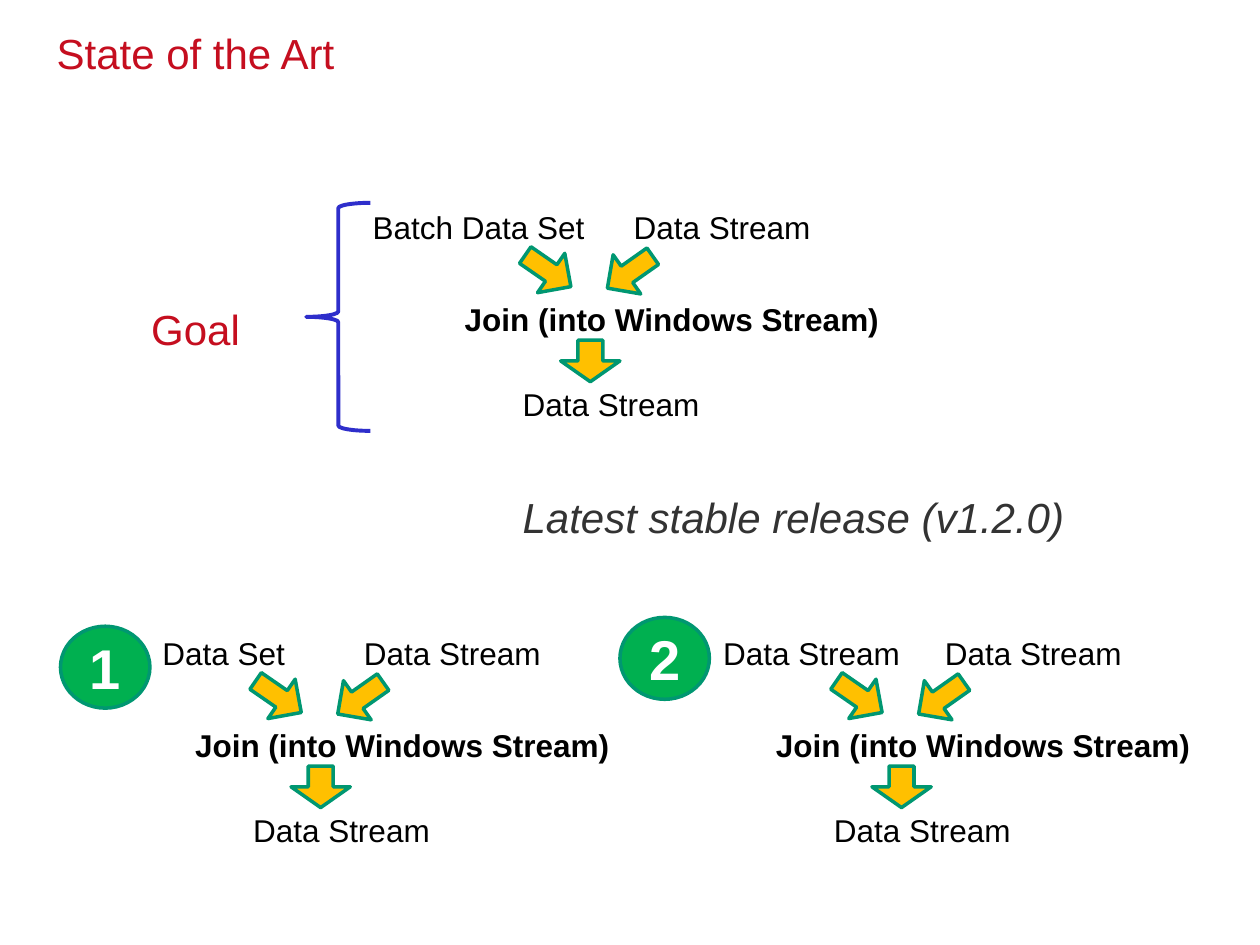
from pptx import Presentation
from pptx.dml.color import RGBColor
from pptx.enum import shapes, text
from pptx.util import Inches, Pt

RED = RGBColor(0xC5, 0x0E, 0x1F)
BLACK = RGBColor(0, 0, 0)
GREY = RGBColor(0x33, 0x33, 0x33)
WHITE = RGBColor(0xFF, 0xFF, 0xFF)
GOLD = RGBColor(0xFF, 0xC0, 0)
TEAL = RGBColor(0, 0x97, 0x71)
GREEN = RGBColor(0, 0xB0, 0x50)
BLUE = RGBColor(0x2E, 0x2E, 0xCB)
KIND = shapes.MSO_SHAPE


def write(frame, words, size, color, bold=False, italic=False):
    """Add one run to the first paragraph and return that paragraph."""
    para = frame.paragraphs[0]
    run = para.add_run()
    run.text = words
    font = run.font
    font.name, font.size = "Arial", Pt(size)
    font.bold, font.italic = bold, italic
    font.color.rgb = color
    return para


def label(slide, box, words, size=18, color=BLACK, wrap=False, **style):
    """Place a text box that grows with its text."""
    frame = slide.shapes.add_textbox(*map(Inches, box)).text_frame
    frame.word_wrap = wrap
    frame.auto_size = text.MSO_AUTO_SIZE.SHAPE_TO_FIT_TEXT
    write(frame, words, size, color, **style)


def heading(slide, box, words):
    """Place a red heading that sits on the bottom of its box."""
    frame = slide.shapes.add_textbox(*map(Inches, box)).text_frame
    frame.word_wrap = True
    frame.vertical_anchor = text.MSO_ANCHOR.BOTTOM
    frame.margin_left = frame.margin_right = 0
    frame.margin_top = frame.margin_bottom = 0
    write(frame, words, 24, RED).line_spacing = 1.21


def shape(slide, kind, box, fill, line, width=2):
    """Place a preset shape without shadow."""
    item = slide.shapes.add_shape(kind, *map(Inches, box))
    item.shadow.inherit = False
    if fill is None:
        item.fill.background()
    else:
        item.fill.solid()
        item.fill.fore_color.rgb = fill
    item.line.color.rgb = line
    item.line.width = Pt(width)
    return item


def arrow(slide, box, turn):
    """Place a gold block arrow turned clockwise."""
    item = shape(slide, KIND.RIGHT_ARROW, box, GOLD, TEAL)
    item.adjustments[0], item.adjustments[1] = 0.42, 0.5
    item.rotation = turn


def badge(slide, left, top, words):
    """Place a numbered green circle."""
    item = shape(slide, KIND.OVAL, (left, top, 0.71, 0.65), GREEN, TEAL)
    frame = item.text_frame
    frame.vertical_anchor = text.MSO_ANCHOR.MIDDLE
    para = write(frame, words, 32, WHITE, bold=True)
    para.alignment = text.PP_ALIGN.CENTER


def flow(slide, left, top, source, start, width):
    """Place a join at left and top, with two inputs above and one output below."""
    label(slide, (start, top - 0.73, width, 0.4), source)
    label(slide, (left + 1.34, top - 0.73, 1.62, 0.4), "Data Stream")
    label(slide, (left, top, 3.6, 0.4), "Join (into Windows Stream)", bold=True)
    label(slide, (left + 0.46, top + 0.68, 1.62, 0.4), "Data Stream")
    arrow(slide, (left + 0.54, top - 0.37, 0.44, 0.38), 34.7)
    arrow(slide, (left + 1.19, top - 0.36, 0.44, 0.38), 144.8)
    arrow(slide, (left + 0.93, top + 0.3, 0.33, 0.47), 90)


def main():
    """Build the slide and save it."""
    deck = Presentation()
    deck.slide_width, deck.slide_height = Inches(10), Inches(7.5)
    slide = deck.slides.add_slide(deck.slide_layouts[6])
    heading(slide, (0.45, 0.24, 8.82, 0.38), "State of the Art")
    heading(slide, (1.2, 2.43, 0.89, 0.38), "Goal")
    shape(slide, KIND.LEFT_BRACE, (2.43, 1.61, 0.51, 1.81), None, BLUE, 2.25)
    flow(slide, 3.59, 2.33, "Batch Data Set", 2.86, 1.9)
    label(slide, (4.05, 3.85, 4.54, 0.5), "Latest stable release (v1.2.0)",
          24, GREY, wrap=True, italic=True)
    flow(slide, 1.45, 5.71, "Data Set", 1.19, 1.18)
    flow(slide, 6.06, 5.71, "Data Stream", 5.64, 1.62)
    badge(slide, 0.48, 4.97, "1")
    badge(slide, 4.92, 4.9, "2")
    deck.save("out.pptx")


if __name__ == "__main__":
    main()
